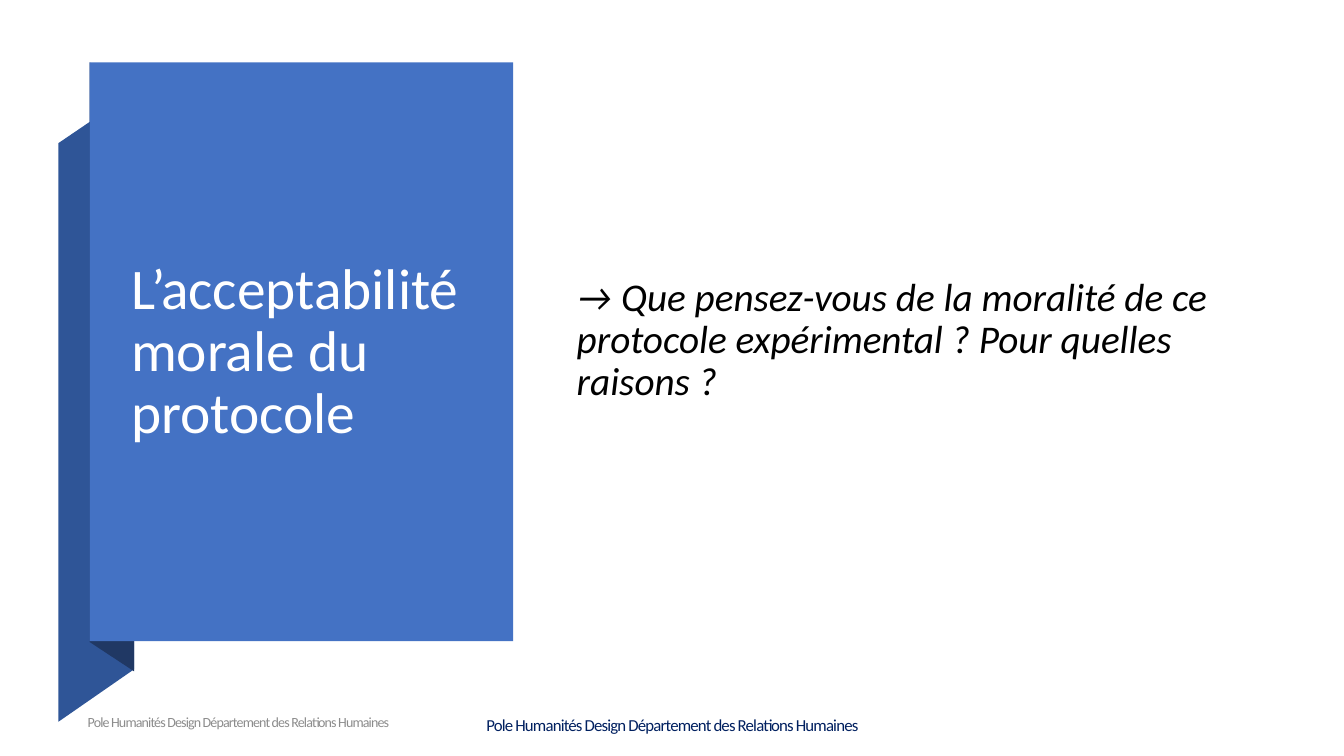
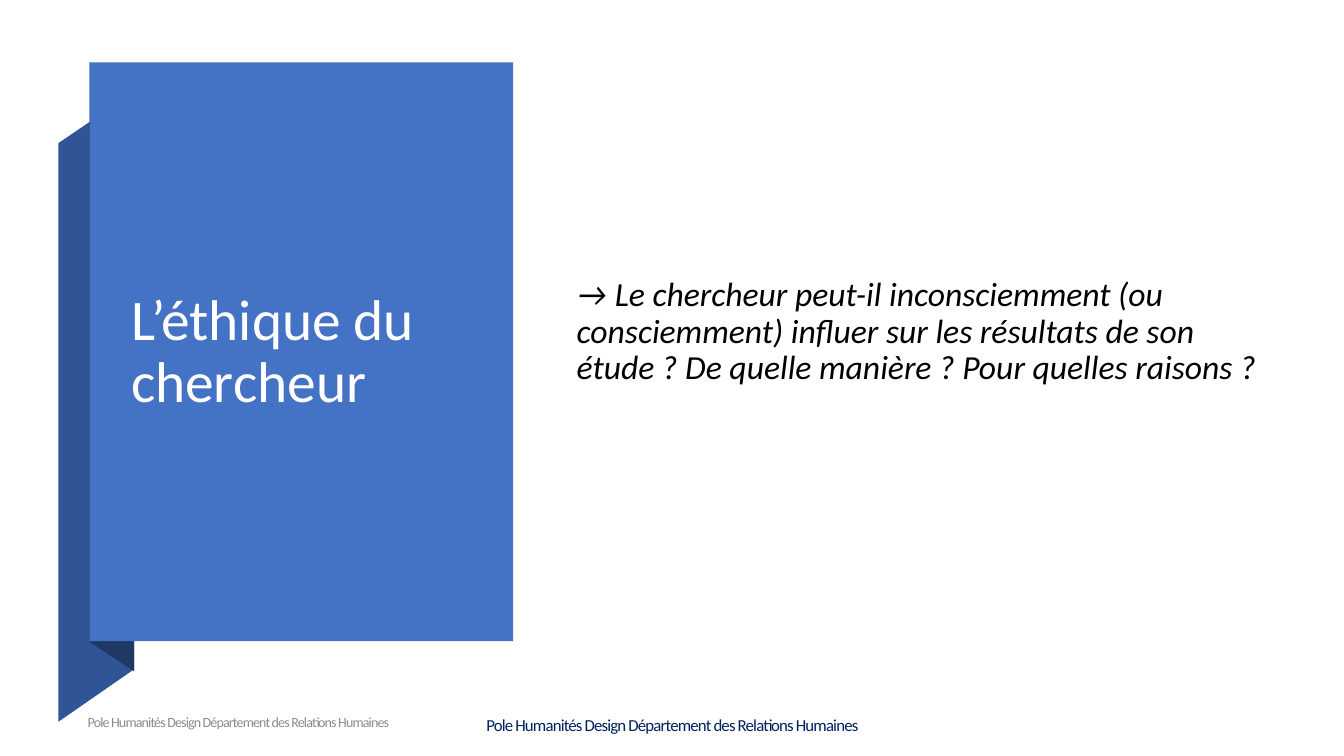
from pptx import Presentation
from pptx.dml.color import RGBColor
from pptx.enum import shapes, text
from pptx.oxml.ns import qn
from pptx.util import Inches, Pt

PANEL_BLUE = RGBColor(0x44, 0x72, 0xC4)
FOLD_BLUE = RGBColor(0x2F, 0x55, 0x97)
SHADE_BLUE = RGBColor(0x20, 0x38, 0x64)
NAVY = RGBColor(0x00, 0x20, 0x60)
GREY = RGBColor(0x8C, 0x8C, 0x8C)
BLACK = RGBColor(0, 0, 0)
WHITE = RGBColor(0xFF, 0xFF, 0xFF)
FONT = "Calibri"
DEPARTMENT = "Pole Humanités Design Département des Relations Humaines"

PANEL = (0.89, 0.62, 4.2, 5.74)
TITLE = (1.2, 0.97, 3.53, 5.06)
LEFT_FOOTER = (0.87, 6.98, 7.39, 0.35)
CENTRE_FOOTER = (4.42, 7.08, 4.5, 0.21)

# title, question, question size, question box
QUESTIONS = [
    ("L’acceptabilité morale du protocole",
     "→ Que pensez-vous de la moralité de ce protocole expérimental ? "
     "Pour quelles raisons ?",
     28, (5.44, 0.97, 7.3, 4.77)),
    ("L’éthique du chercheur",
     "→ Le chercheur peut-il inconsciemment (ou consciemment) influer sur "
     "les résultats de son étude ? De quelle manière ? Pour quelles raisons ?",
     24, (5.44, 0.97, 7.14, 4.6)),
]


def place(shape, box):
    shape.left, shape.top, shape.width, shape.height = map(Inches, box)


def paint(shape, colour):
    shape.shadow.inherit = False
    shape.fill.solid()
    shape.fill.fore_color.rgb = colour
    shape.line.fill.background()


def write(shape, wording, size, colour, margins, align=text.PP_ALIGN.LEFT):
    """Set one middle-anchored paragraph; margins are left, top, right, bottom."""
    frame = shape.text_frame
    frame.text = wording
    frame.word_wrap = True
    frame.auto_size = text.MSO_AUTO_SIZE.NONE
    frame.vertical_anchor = text.MSO_ANCHOR.MIDDLE
    (frame.margin_left, frame.margin_top,
     frame.margin_right, frame.margin_bottom) = map(Inches, margins)
    paragraph = frame.paragraphs[0]
    paragraph.alignment = align
    paragraph.space_before = Pt(0)
    run = paragraph.runs[0]
    run.font.name = FONT
    run.font.size = Pt(size)
    run.font.color.rgb = colour
    return paragraph


def add_folded_panel(slide, box):
    """Draw the title panel with its ribbon fold, behind the placeholders."""
    left, top, width, height = box
    group = slide.shapes.add_group_shape()
    depth = 0.44
    fold = [(-0.31, 0.8), (depth, 0.29), (depth, height + 0.28),
            (-0.31, height + 0.8)]
    shade = [(0, 0), (depth, 0.28), (depth, height + 0.3), (0, height + 0.01)]
    for outline, colour in ((fold, FOLD_BLUE), (shade, SHADE_BLUE)):
        points = [(Inches(left + x), Inches(top + y)) for x, y in outline]
        builder = group.shapes.build_freeform(*points[0])
        builder.add_line_segments(points[1:], close=True)
        paint(builder.convert_to_shape(), colour)
    panel = group.shapes.add_shape(shapes.MSO_SHAPE.RECTANGLE,
                                   *map(Inches, box))
    paint(panel, PANEL_BLUE)
    slide.shapes._spTree.insert(2, group._element)


def add_title(slide, wording, box):
    title = slide.shapes.title
    place(title, box)
    paragraph = write(title, wording, 41, WHITE, (0.1, 0.05, 0.1, 0.05))
    paragraph.line_spacing = 0.9


def add_question(slide, wording, size, box):
    body = slide.placeholders[1]
    place(body, box)
    paragraph = write(body, wording, size, BLACK, (0.28, 0.05, 0, 0))
    paragraph.line_spacing = 0.9
    paragraph.runs[0].font.italic = True
    properties = paragraph._p.get_or_add_pPr()
    properties.set("marL", "0")
    properties.set("indent", "0")
    properties.append(properties.makeelement(qn("a:buNone"), {}))


def add_footer(slide, box, size, colour, align):
    footer = slide.shapes.add_textbox(*map(Inches, box))
    paragraph = write(footer, DEPARTMENT, size, colour, (0, 0.01, 0, 0), align)
    paragraph.runs[0].font._element.set("spc", "-60")


def add_question_slide(deck, title, question, size, question_box):
    slide = deck.slides.add_slide(deck.slide_layouts[1])
    add_folded_panel(slide, PANEL)
    add_title(slide, title, TITLE)
    add_question(slide, question, size, question_box)
    add_footer(slide, LEFT_FOOTER, 10, GREY, text.PP_ALIGN.LEFT)
    add_footer(slide, CENTRE_FOOTER, 12, NAVY, text.PP_ALIGN.CENTER)


def main():
    deck = Presentation()
    deck.slide_width, deck.slide_height = Inches(13.33), Inches(7.5)
    for content in QUESTIONS:
        add_question_slide(deck, *content)
    deck.save("out.pptx")


if __name__ == "__main__":
    main()
